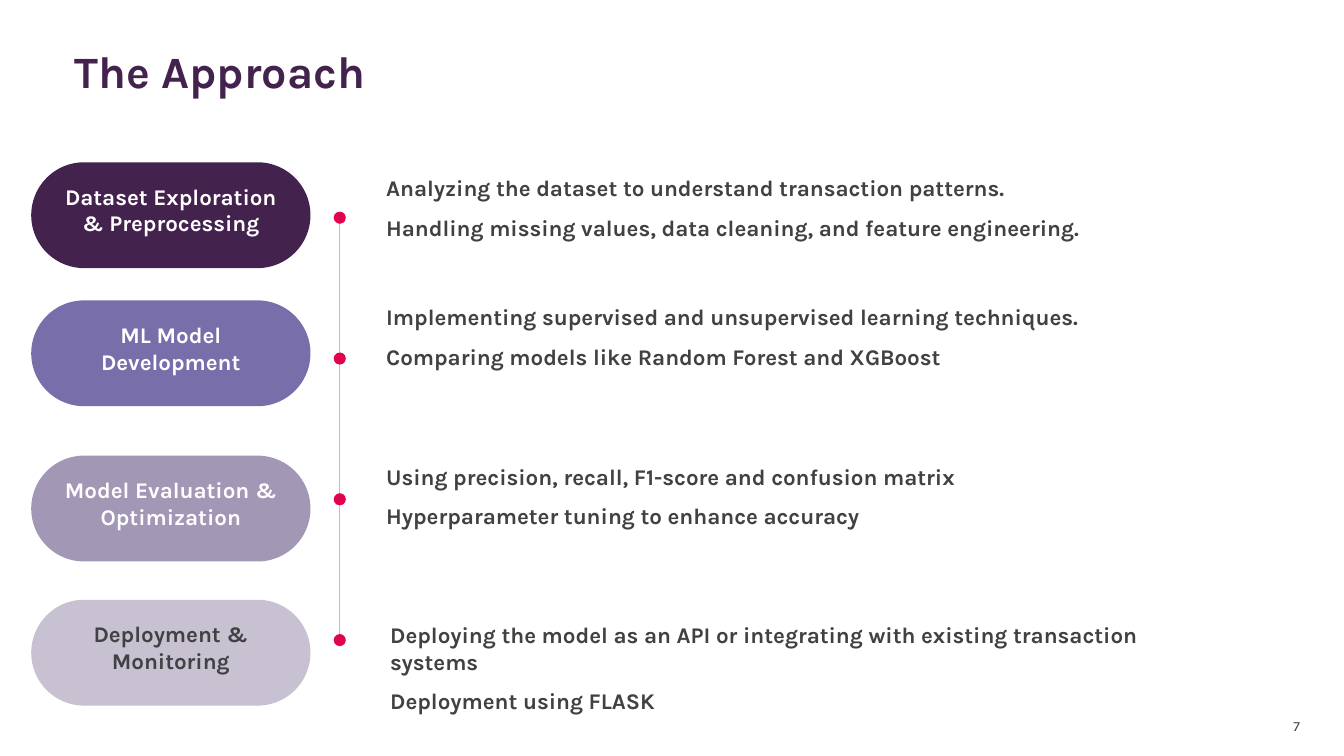
from collections import namedtuple

from lxml.etree import SubElement
from pptx import Presentation
from pptx.dml.color import RGBColor
from pptx.enum.shapes import MSO_CONNECTOR, MSO_SHAPE
from pptx.enum.text import MSO_ANCHOR, MSO_AUTO_SIZE, PP_ALIGN
from pptx.oxml.ns import qn
from pptx.util import Inches, Pt

Box = namedtuple("Box", "left top width height")
Stage = namedtuple("Stage", "label fill ink pill_top text_box indent lines")

FONT = "Karla"
PLUM, GRAY, WHITE, PINK = "43224D", "414042", "FFFFFF", "E0044E"
SLIDE = Box(0, 0, 13.33, 7.5)
PILL_LEFT, PILL_WIDTH, PILL_HEIGHT = 0.31, 2.77, 1.05
TIMELINE = Box(3.31, 2.1, 0.12, 4.31)

STAGES = [
    Stage("Dataset Exploration & Preprocessing", PLUM, WHITE, 1.61,
          Box(3.73, 1.68, 8.93, 0.87), 0,
          ["Analyzing the dataset to understand transaction patterns.",
           "Handling missing values, data cleaning, and feature engineering."]),
    Stage("ML Model Development", "786EAA", WHITE, 2.98,
          Box(3.73, 2.96, 8.93, 0.87), 0,
          ["Implementing supervised and unsupervised learning techniques.",
           "Comparing models like Random Forest and XGBoost"]),
    Stage("Model Evaluation & Optimization", "A297B4", WHITE, 4.52,
          Box(3.73, 4.54, 8.93, 0.87), 0,
          ["Using precision, recall, F1-score and confusion matrix",
           "Hyperparameter tuning to enhance accuracy"]),
    Stage("Deployment & Monitoring", "C7C1D2", GRAY, 5.95,
          Box(3.52, 6.11, 8.46, 0.87), 0.25,
          ["Deploying the model as an API or integrating with existing "
           "transaction systems",
           "Deployment using FLASK"]),
]


def color(hex_string):
    return RGBColor.from_string(hex_string)


def inches(box):
    return [Inches(length) for length in box]


def place(shape, box):
    shape.left, shape.top, shape.width, shape.height = inches(box)


def style_frame(text_frame, anchor):
    text_frame.word_wrap = True
    text_frame.auto_size = MSO_AUTO_SIZE.NONE
    text_frame.vertical_anchor = anchor


def style_paragraph(paragraph, size, ink, bold=True, alignment=PP_ALIGN.LEFT):
    paragraph.alignment = alignment
    for run in paragraph.runs:
        run.font.name = FONT
        run.font.size = Pt(size)
        run.font.bold = bold
        run.font.color.rgb = color(ink)


def add_filled_shape(slide, kind, box, fill):
    shape = slide.shapes.add_shape(kind, *inches(box))
    shape.shadow.inherit = False
    shape.fill.solid()
    shape.fill.fore_color.rgb = color(fill)
    shape.line.fill.background()
    return shape


def add_title(slide, box):
    title = slide.shapes.title
    place(title, box)
    title.text_frame.text = "The Approach"
    style_frame(title.text_frame, MSO_ANCHOR.MIDDLE)
    paragraph = title.text_frame.paragraphs[0]
    paragraph.line_spacing = 0.9
    style_paragraph(paragraph, 32, PLUM)


def add_timeline(slide, box):
    center = box.left + box.width / 2
    dot = box.width
    line = slide.shapes.add_connector(
        MSO_CONNECTOR.STRAIGHT, Inches(center), Inches(box.top),
        Inches(center), Inches(box.top + box.height))
    line.line.color.rgb = color("BFBFBF")
    line.line.width = Pt(0.5)
    SubElement(line._element.spPr, qn("a:effectLst"))
    step = (box.height - dot) / (len(STAGES) - 1)
    for index in range(len(STAGES)):
        add_filled_shape(slide, MSO_SHAPE.OVAL,
                         Box(box.left, box.top + index * step, dot, dot), PINK)


def add_pill(slide, box, stage):
    pill = add_filled_shape(slide, MSO_SHAPE.ROUNDED_RECTANGLE, box, stage.fill)
    pill.adjustments[0] = 0.5
    pill.text_frame.text = stage.label
    style_frame(pill.text_frame, MSO_ANCHOR.TOP)
    style_paragraph(pill.text_frame.paragraphs[0], 16, stage.ink,
                    alignment=PP_ALIGN.CENTER)


def fill_description(placeholder, box, stage):
    place(placeholder, box)
    text_frame = placeholder.text_frame
    text_frame.text = "\n".join(stage.lines)
    style_frame(text_frame, MSO_ANCHOR.TOP)
    for index, paragraph in enumerate(text_frame.paragraphs):
        properties = paragraph._p.get_or_add_pPr()
        properties.set("marL", str(Inches(stage.indent)))
        properties.set("indent", "0")
        SubElement(properties, qn("a:buNone"))
        paragraph.space_before = Pt(6 if index else 0)
        paragraph.space_after = Pt(3)
        style_paragraph(paragraph, 16, GRAY)


def add_page_number(slide, box):
    text_frame = slide.shapes.add_textbox(*inches(box)).text_frame
    text_frame.text = "7"
    style_frame(text_frame, MSO_ANCHOR.MIDDLE)
    text_frame.margin_top = text_frame.margin_bottom = 0
    style_paragraph(text_frame.paragraphs[0], 10, GRAY, False, PP_ALIGN.RIGHT)


def build_approach_slide(presentation):
    layout = presentation.slide_layouts.get_by_name("Comparison")
    slide = presentation.slides.add_slide(layout)
    add_title(slide, Box(0.64, 0.43, 12.01, 0.6))
    add_timeline(slide, TIMELINE)
    descriptions = list(slide.placeholders)[1:]
    for stage, placeholder in zip(STAGES, descriptions):
        add_pill(slide, Box(PILL_LEFT, stage.pill_top, PILL_WIDTH, PILL_HEIGHT),
                 stage)
        fill_description(placeholder, stage.text_box, stage)
    add_page_number(slide, Box(12.57, 7.08, 0.42, 0.25))


def main():
    presentation = Presentation()
    presentation.slide_width = Inches(SLIDE.width)
    presentation.slide_height = Inches(SLIDE.height)
    build_approach_slide(presentation)
    presentation.save("out.pptx")


if __name__ == "__main__":
    main()
